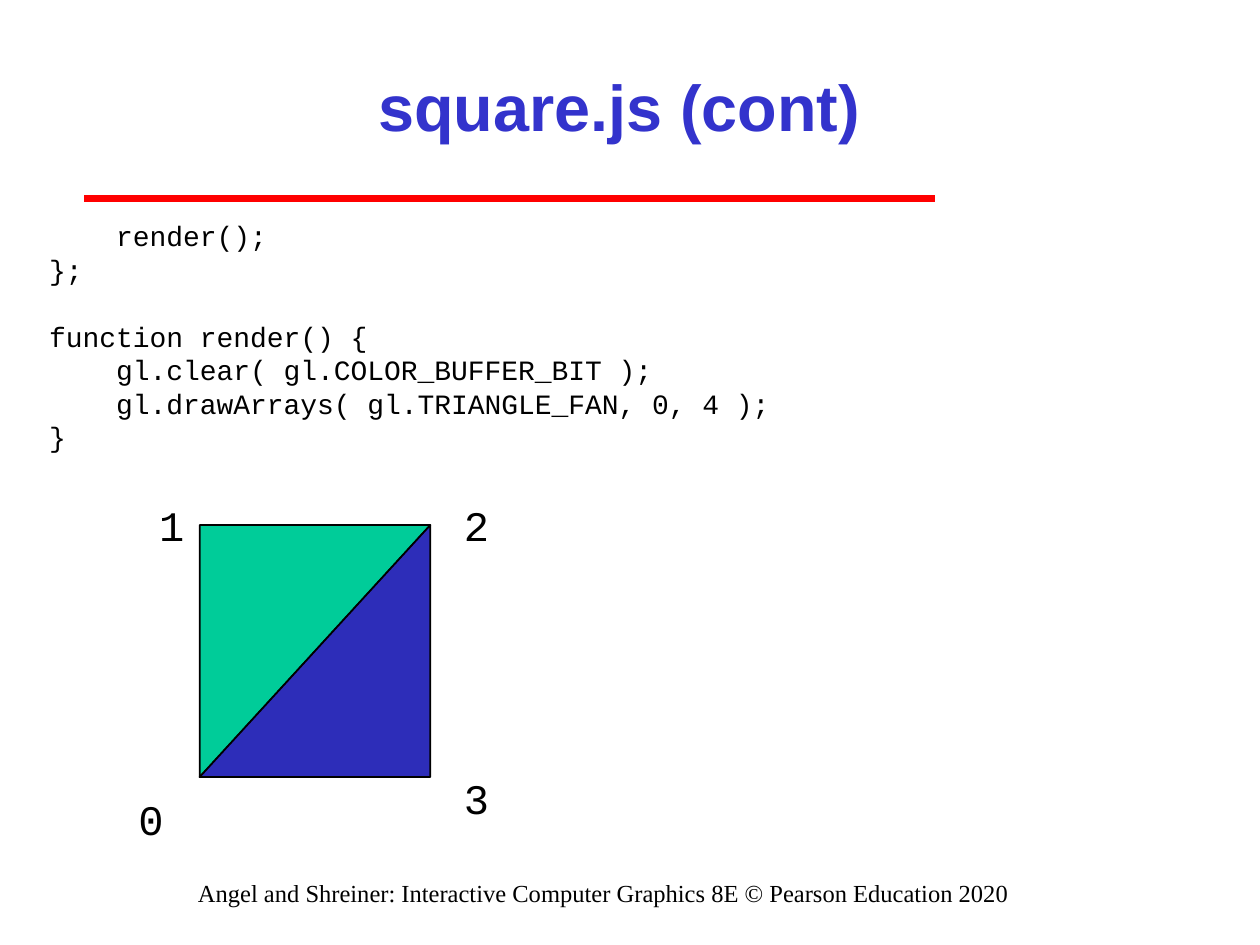
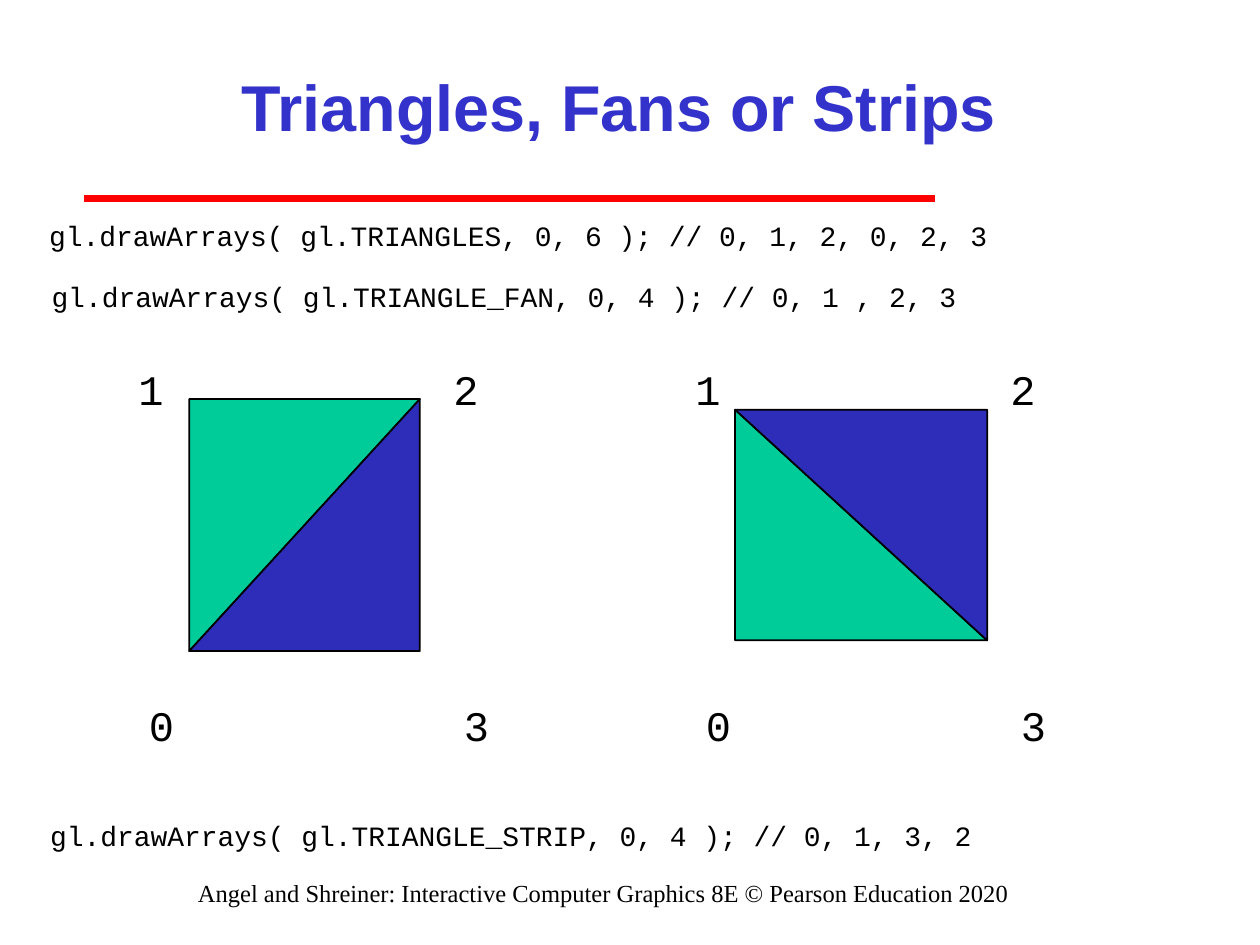
from pptx import Presentation
from pptx.dml.color import RGBColor
from pptx.enum import shapes, text
from pptx.oxml import ns
from pptx.util import Cm, Pt
from lxml import etree

TITLE_BLUE = RGBColor(0x33, 0x33, 0xCC)
RULE_RED = RGBColor(0xFF, 0x00, 0x00)
GREEN = RGBColor(0x00, 0xCC, 0x99)
BLUE = RGBColor(0x2D, 0x2D, 0xB9)
BLACK = RGBColor(0x00, 0x00, 0x00)

FOOTER = ("Angel and Shreiner: Interactive Computer Graphics 8E "
          "© Pearson Education 2020")


class Deck:
    CODE_FONT = "Courier New"
    CODE_SIZE = 16
    LINE_PITCH = Pt(19.2)
    TRIANGLE = (5.08, 4.65)

    def __init__(self):
        self.prs = Presentation()
        self.prs.slide_width, self.prs.slide_height = Cm(25.4), Cm(19.05)
        self.s = None

    def new_slide(self, title):
        """Start a slide with its title, red rule and footer."""
        self.s = self.prs.slides.add_slide(self.prs.slide_layouts[5])
        sp = self.s.shapes.title
        sp.left, sp.top, sp.width, sp.height = Cm(3.81), Cm(0.64), Cm(17.35), Cm(2.97)
        tf = sp.text_frame
        tf.text = title
        tf.vertical_anchor = text.MSO_ANCHOR.MIDDLE
        self.style(tf.paragraphs[0], "Arial", 37, TITLE_BLUE, bold=True, centred=True)
        self.rule(1.7, 18.85, 4.01)
        tf = self.box(3.18, 17.58, 17.98, 0.64)
        tf.text = FOOTER
        self.style(tf.paragraphs[0], "Times New Roman", 14, centred=True)

    def style(self, p, font, size, color=BLACK, bold=False, centred=False):
        p.alignment = text.PP_ALIGN.CENTER if centred else text.PP_ALIGN.LEFT
        for r in p.runs:
            r.font.name, r.font.size, r.font.bold = font, Pt(size), bold
            r.font.color.rgb = color

    def box(self, left, top, width, height):
        tf = self.s.shapes.add_textbox(Cm(left), Cm(top), Cm(width), Cm(height)).text_frame
        tf.word_wrap = True
        return tf

    def rule(self, left, right, y):
        line = self.s.shapes.add_connector(
            shapes.MSO_CONNECTOR.STRAIGHT, Cm(left), Cm(y), Cm(right), Cm(y))
        line.line.color.rgb, line.line.width = RULE_RED, Pt(4)
        etree.SubElement(line._element.spPr, ns.qn("a:effectLst"))

    def code(self, left, top, *blocks):
        """Write blocks of code lines, one line's gap between blocks."""
        count = sum(len(block) for block in blocks) + len(blocks) - 1
        tf = self.box(left, top, 23.93, 0.25 + 0.68 * count)
        for b, block in enumerate(blocks):
            for i, line in enumerate(block):
                p = tf.paragraphs[0] if b == i == 0 else tf.add_paragraph()
                p.text = line
                p.line_spacing = self.LINE_PITCH
                if b and i == 0:
                    p.space_before = self.LINE_PITCH
                self.style(p, self.CODE_FONT, self.CODE_SIZE)

    def square(self, left, top, rotation):
        """Draw a square as a green triangle and its blue opposite half."""
        width, height = self.TRIANGLE
        for color, turn in ((GREEN, rotation), (BLUE, rotation + 180)):
            sp = self.s.shapes.add_shape(
                shapes.MSO_SHAPE.RIGHT_TRIANGLE,
                Cm(left), Cm(top), Cm(width), Cm(height))
            sp.rotation = turn
            sp.shadow.inherit = False
            sp.fill.solid()
            sp.fill.fore_color.rgb = color
            sp.line.color.rgb, sp.line.width = BLACK, Pt(1)

    def vertices(self, corners, shift=0):
        """Number the corners, given as (left, top), from 0."""
        for number, (left, top) in enumerate(corners):
            tf = self.box(left + shift, top, 0.85, 1.27)
            tf.text = str(number)
            self.style(tf.paragraphs[0], self.CODE_FONT, 24)


def render_slide(deck):
    deck.new_slide("square.js (cont)")
    deck.code(0.74, 4.28,
              ["    render();", "};"],
              ["function render() {",
               "    gl.clear( gl.COLOR_BUFFER_BIT );",
               "    gl.drawArrays( gl.TRIANGLE_FAN, 0, 4 );",
               "}"])
    deck.square(3.81, 10.8, 90)
    deck.vertices([(2.54, 15.88), (2.96, 9.95), (9.1, 9.95), (9.1, 15.45)])


def primitives_slide(deck):
    deck.new_slide("Triangles, Fans or Strips")
    deck.code(0.74, 4.28, ["gl.drawArrays( gl.TRIANGLES, 0, 6 ); // 0, 1, 2, 0, 2, 3"])
    deck.code(0.79, 5.51, ["gl.drawArrays( gl.TRIANGLE_FAN, 0, 4 ); // 0, 1 , 2, 3"])
    deck.code(0.76, 16.38, ["gl.drawArrays( gl.TRIANGLE_STRIP, 0, 4 ); // 0, 1, 3, 2"])
    deck.square(3.6, 8.26, 90)
    deck.square(14.82, 8.26, 0)
    corners = [(2.75, 13.97), (2.54, 7.2), (8.89, 7.2), (9.1, 13.97)]
    for shift in (0, 11.23):
        deck.vertices(corners, shift)


def main():
    deck = Deck()
    render_slide(deck)
    primitives_slide(deck)
    deck.prs.save("out.pptx")


if __name__ == "__main__":
    main()
